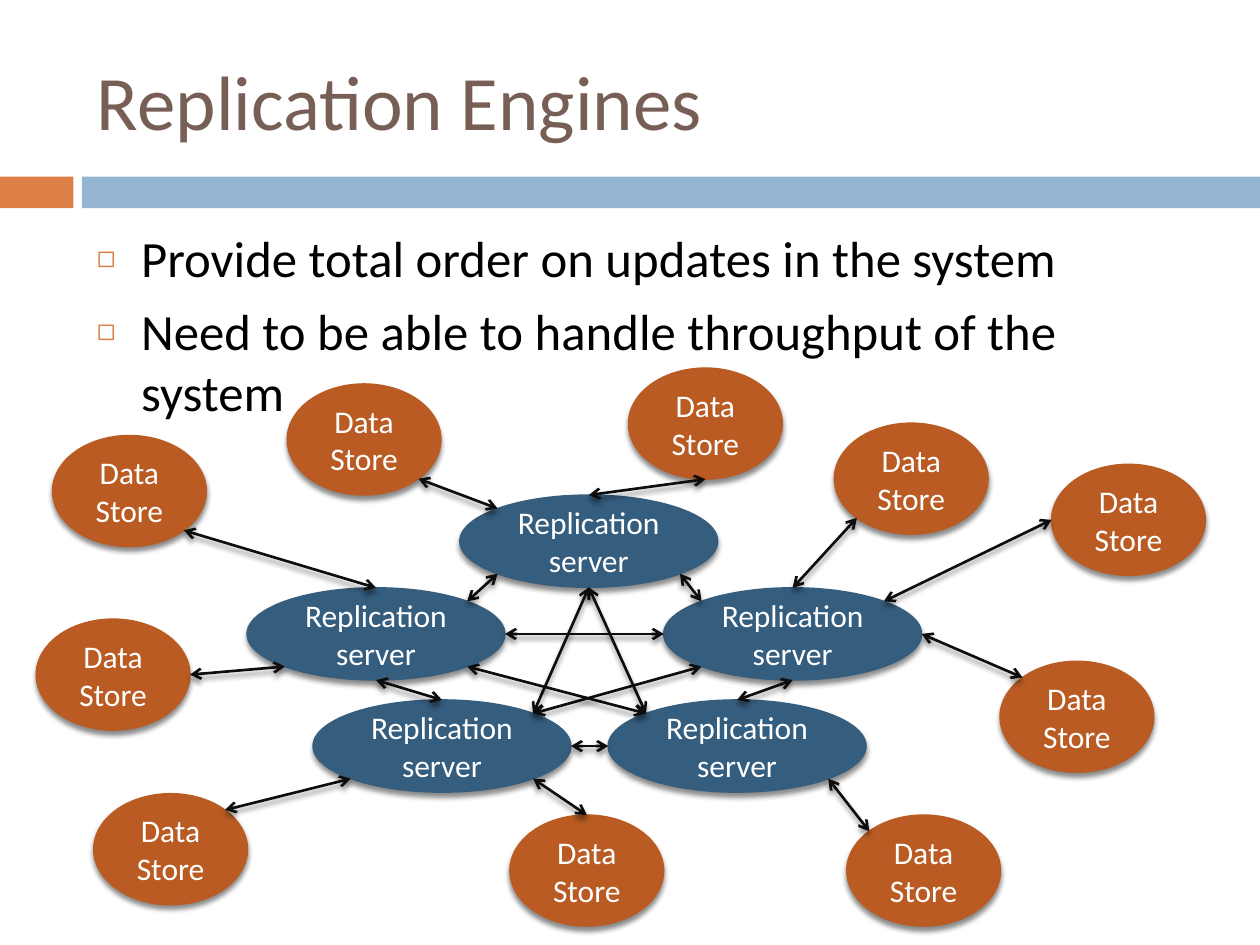
import math

import lxml.etree
import pptx
import pptx.dml.color
import pptx.enum.shapes
import pptx.enum.text
import pptx.oxml.ns
import pptx.util

Cm, Pt = pptx.util.Cm, pptx.util.Pt
qn = pptx.oxml.ns.qn
SubElement = lxml.etree.SubElement
SHAPE = pptx.enum.shapes.MSO_SHAPE
ALIGN = pptx.enum.text.PP_ALIGN
ANCHOR = pptx.enum.text.MSO_ANCHOR

COLORS = {
    "title": "775F55", "body": "000000", "orange": "DD8047", "blue": "94B6D2",
    "server": "355D7E", "store": "B95B22", "label": "FFFFFF", "arrow": "0D0D0D",
}


def rgb(name):
    return pptx.dml.color.RGBColor.from_string(COLORS[name])


def add_shadow(shape):
    effects = SubElement(shape._element.spPr, qn("a:effectLst"))
    shadow = SubElement(effects, qn("a:outerShdw"), blurRad=str(Pt(3)),
                        dist=str(Pt(2.4)), dir="5400000", rotWithShape="0")
    color = SubElement(shadow, qn("a:srgbClr"), val="000000")
    SubElement(color, qn("a:alpha"), val="45000")


prs = pptx.Presentation()
prs.slide_width, prs.slide_height = Cm(25.4), Cm(19.05)
s = prs.slides.add_slide(prs.slide_layouts[1])

# Band under the title
for left, width, color in [(0, 1.48, "orange"), (1.65, 23.75, "blue")]:
    sp = s.shapes.add_shape(SHAPE.RECTANGLE, Cm(left), Cm(3.56), Cm(width), Cm(0.64))
    sp.shadow.inherit = False
    sp.fill.solid()
    sp.fill.fore_color.rgb = rgb(color)
    sp.line.fill.background()

# Title and bullet list
title, body = s.shapes.title, s.placeholders[1]
title.text_frame.text = "Replication Engines"
body.text_frame.text = ("Provide total order on updates in the system\n"
                        "Need to be able to handle throughput of the system")
for sp, top, height, anchor, size, color in [
    (title, 0.64, 2.74, ANCHOR.MIDDLE, 44, "title"),
    (body, 4.45, 12.5, ANCHOR.TOP, 29, "body"),
]:
    sp.left, sp.top, sp.width, sp.height = Cm(1.7), Cm(top), Cm(22.66), Cm(height)
    tf = sp.text_frame
    tf.auto_size = pptx.enum.text.MSO_AUTO_SIZE.NONE
    tf.word_wrap = True
    tf.vertical_anchor = anchor
    for p in tf.paragraphs:
        p.alignment = ALIGN.LEFT
        for r in p.runs:
            r.font.name, r.font.size = "Calibri", Pt(size)
            r.font.color.rgb = rgb(color)

for i, p in enumerate(body.text_frame.paragraphs):
    pPr = p._p.get_or_add_pPr()
    pPr.set("marL", str(Cm(0.89)))
    pPr.set("indent", str(-Cm(0.89)))
    SubElement(SubElement(pPr, qn("a:buClr")), qn("a:srgbClr"), val=COLORS["orange"])
    SubElement(pPr, qn("a:buSzPct"), val="60000")
    SubElement(pPr, qn("a:buChar"), char="◻")
    p.space_before = Pt(7 if i else 0)

# Servers and data stores: left and top in cm
KINDS = {
    "server": ("Replication server", 5.2, 1.86, {
        "top": (9.27, 9.98), "left": (4.98, 11.85), "right": (13.38, 11.85),
        "low left": (6.31, 14.11), "low right": (12.26, 14.11),
    }),
    "store": ("Data Store", 3.1, 2.24, {
        "A": (1.06, 8.78), "B": (5.79, 7.74), "C": (12.67, 7.42), "D": (16.82, 8.53),
        "E": (21.2, 9.36), "F": (20.16, 13.33), "G": (17.07, 16.43),
        "H": (10.28, 16.43), "I": (1.89, 16), "J": (0.73, 12.48),
    }),
}
nodes = {}
for kind, (label, width, height, places) in KINDS.items():
    for name, (left, top) in places.items():
        sp = s.shapes.add_shape(SHAPE.OVAL, Cm(left), Cm(top), Cm(width), Cm(height))
        sp.fill.solid()
        sp.fill.fore_color.rgb = rgb(kind)
        sp.line.color.rgb = rgb(kind)
        sp.line.width = Pt(0.79)
        add_shadow(sp)
        tf = sp.text_frame
        tf.text = label
        tf.word_wrap = True
        tf.vertical_anchor = ANCHOR.MIDDLE
        p = tf.paragraphs[0]
        p.alignment = ALIGN.CENTER
        r = p.runs[0]
        r.font.name, r.font.size = "Calibri", Pt(18)
        r.font.color.rgb = rgb("label")
        nodes[name] = sp

# Two-way links; an oval has eight sites, counterclockwise from its top
SITES = ["N", "NW", "W", "SW", "S", "SE", "E", "NE"]
LINKS = [
    ("B", "SE", "top", "NW"), ("top", "SE", "right", "NW"),
    ("top", "N", "C", "S"), ("right", "N", "D", "SW"),
    ("right", "NE", "E", "W"), ("right", "E", "F", "NW"),
    ("low right", "SE", "G", "NW"), ("low left", "SE", "H", "N"),
    ("I", "NE", "low left", "SW"), ("J", "E", "left", "SW"),
    ("A", "SE", "left", "N"), ("left", "NE", "top", "SW"),
    ("left", "S", "low left", "N"), ("low left", "E", "low right", "W"),
    ("right", "S", "low right", "N"), ("top", "S", "low right", "NW"),
    ("top", "S", "low left", "NE"), ("left", "E", "right", "W"),
    ("low left", "NE", "right", "SW"), ("left", "SE", "low right", "NW"),
]
for start, start_site, end, end_site in LINKS:
    ends = [(nodes[start], SITES.index(start_site)), (nodes[end], SITES.index(end_site))]
    points = []
    for sp, site in ends:
        angle = math.radians(45 * site)
        points += [round(sp.left + sp.width / 2 * (1 - math.sin(angle))),
                   round(sp.top + sp.height / 2 * (1 - math.cos(angle)))]
    link = s.shapes.add_connector(pptx.enum.shapes.MSO_CONNECTOR.STRAIGHT, *points)
    link.line.color.rgb = rgb("arrow")
    link.line.width = Pt(1.5)
    ln = link._element.spPr.find(qn("a:ln"))
    for tag in ("a:headEnd", "a:tailEnd"):
        SubElement(ln, qn(tag), type="arrow")
    add_shadow(link)
    joints = link._element.nvCxnSpPr.cNvCxnSpPr
    for tag, (sp, site) in zip(("a:stCxn", "a:endCxn"), ends):
        SubElement(joints, qn(tag), id=str(sp.shape_id), idx=str(site))

prs.save("out.pptx")
